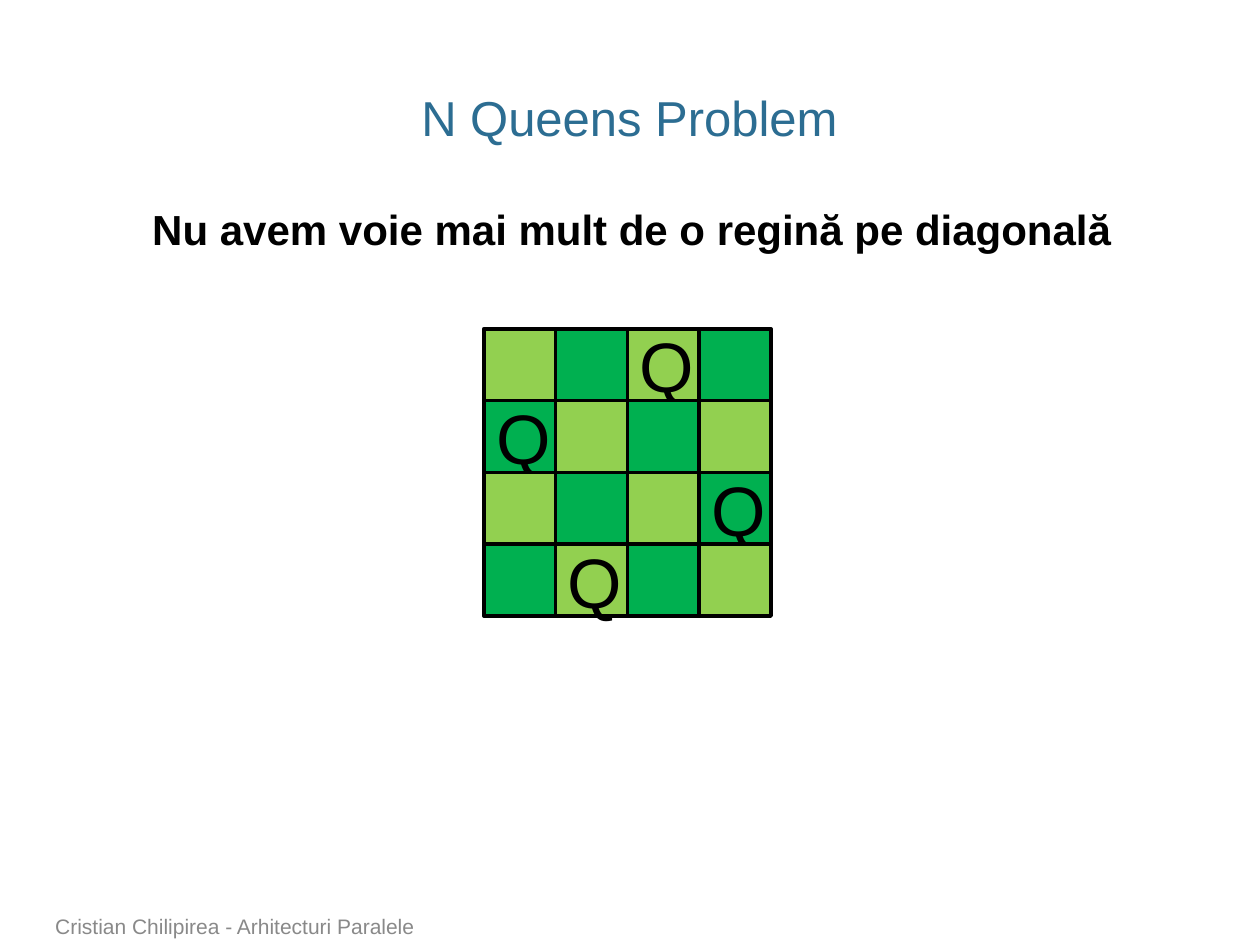
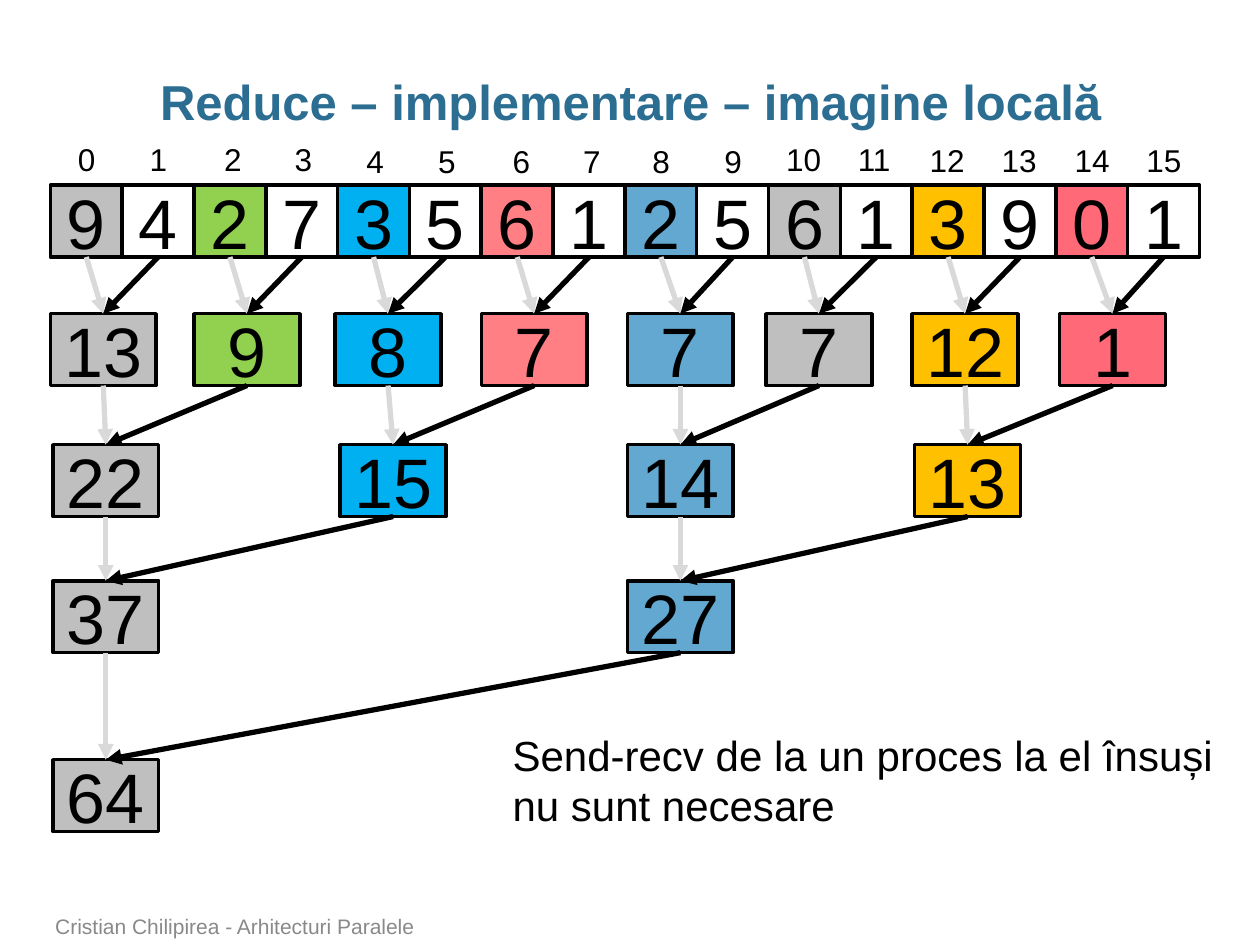
import pptx
import pptx.util
import pptx.dml.color
import pptx.enum.shapes
import pptx.enum.text
import pptx.oxml.ns
from dataclasses import dataclass
from lxml import etree
from pptx.util import Inches, Pt

ALIGN = pptx.enum.text.PP_ALIGN
ANCHOR = pptx.enum.text.MSO_ANCHOR
FIT = pptx.enum.text.MSO_AUTO_SIZE
RECT = pptx.enum.shapes.MSO_SHAPE.RECTANGLE
STRAIGHT = pptx.enum.shapes.MSO_CONNECTOR.STRAIGHT
BOTTOM, TOP = 2, 0


@dataclass(frozen=True)
class Theme:
    font: str = "Arial"
    ink: str = "000000"
    head: str = "2C6D92"
    note: str = "898989"
    pale: str = "D9D9D9"
    light: str = "92D050"
    dark: str = "00B050"
    hues: tuple = ("BFBFBF", "92D050", "00B0F0", "FF7F85",
                   "62A8D1", "BFBFBF", "FFC000", "FF6978")
    title: int = 28
    body: int = 24
    cell: int = 40
    label: int = 18
    foot: int = 12
    edge: int = 2
    arrow: int = 3


def color(code):
    return pptx.dml.color.RGBColor.from_string(code)


def add_xml(parent, tag, **attrs):
    etree.SubElement(parent, pptx.oxml.ns.qn(tag), **attrs)


class Deck:
    def __init__(self, theme):
        self.theme = theme
        self.file = pptx.Presentation()
        self.file.slide_width = Inches(10)
        self.file.slide_height = Inches(7.5)
        self.slide = None

    def run(self, para, text, size, code, bold=False):
        run = para.add_run()
        run.text = text
        font = run.font
        font.name = self.theme.font
        font.size = Pt(size)
        font.bold = bold
        font.color.rgb = color(code)

    def start(self, text, left, top, bold=False):
        self.slide = self.file.slides.add_slide(self.file.slide_layouts[5])
        title = self.slide.shapes.title
        title.left, title.top = Inches(left), Inches(top)
        title.width, title.height = Inches(9.31), Inches(0.5)
        frame = title.text_frame
        frame.auto_size = FIT.NONE
        frame.margin_left = frame.margin_right = 0
        frame.margin_top = frame.margin_bottom = Inches(0.05)
        frame.vertical_anchor = ANCHOR.TOP
        para = frame.paragraphs[0]
        para.alignment = ALIGN.CENTER
        para.line_spacing = 0.95
        self.run(para, text, self.theme.title, self.theme.head, bold)
        foot = self.text("Cristian Chilipirea - Arhitecturi Paralele",
                         0.34, 7.22, 7.37, 0.28, self.theme.foot,
                         code=self.theme.note, wrap=True, fit=FIT.NONE)
        foot.text_frame.vertical_anchor = ANCHOR.BOTTOM

    def text(self, text, left, top, width, height, size, code=None,
             bold=False, wrap=False, fit=FIT.SHAPE_TO_FIT_TEXT):
        box = self.slide.shapes.add_textbox(
            Inches(left), Inches(top), Inches(width), Inches(height))
        frame = box.text_frame
        frame.word_wrap = wrap
        frame.auto_size = fit
        self.run(frame.paragraphs[0], text, size, code or self.theme.ink, bold)
        return box

    def cell(self, text, left, top, width, fill=None):
        box = self.slide.shapes.add_shape(
            RECT, Inches(left), Inches(top), Inches(width), Inches(0.57))
        box.shadow.inherit = False
        if fill:
            box.fill.solid()
            box.fill.fore_color.rgb = color(fill)
        else:
            box.fill.background()
        box.line.color.rgb = color(self.theme.ink)
        box.line.width = Pt(self.theme.edge)
        if text:
            frame = box.text_frame
            frame.vertical_anchor = ANCHOR.MIDDLE
            para = frame.paragraphs[0]
            para.alignment = ALIGN.CENTER
            self.run(para, text, self.theme.cell, self.theme.ink)
        return box

    def arrow(self, source, target, code):
        line = self.slide.shapes.add_connector(STRAIGHT, 0, 0, 0, 0)
        line.begin_connect(source, BOTTOM)
        line.end_connect(target, TOP)
        line.line.color.rgb = color(code)
        line.line.width = Pt(self.theme.arrow)
        add_xml(line.line._get_or_add_ln(), "a:tailEnd", type="triangle")
        add_xml(line._element.spPr, "a:effectLst")


def draw_queens(deck):
    theme = deck.theme
    side = 0.57
    queens = (2, 0, 3, 1)
    deck.start("N Queens Problem", 0.34, 0.68)
    for row, queen in enumerate(queens):
        for col in range(len(queens)):
            fill = theme.dark if (row + col) % 2 else theme.light
            deck.cell("Q" if col == queen else "", 3.84 + col * side,
                      2.61 + row * side, side, fill)
    deck.text("Nu avem voie mai mult de o regină pe diagonală",
              1.11, 1.57, 7.88, 0.5, theme.body, bold=True)


def draw_reduce(deck):
    theme = deck.theme
    side = 0.57
    deck.start("Reduce – implementare – imagine locală", 0.35, 0.55, bold=True)

    values = [9, 4, 2, 7, 3, 5, 6, 1, 2, 5, 6, 1, 3, 9, 0, 1]
    boxes = []
    for i, value in enumerate(values):
        fill = None if i % 2 else theme.hues[i // 2]
        boxes.append(deck.cell(str(value), 0.4 + i * side, 1.47, side, fill))

    levels = [(2.49, [0.4, 1.54, 2.66, 3.82, 4.98, 6.08, 7.24, 8.41])]
    for top, count in ((3.53, 4), (4.61, 2), (6.03, 1)):
        step = 9.12 / count
        levels.append((top, [0.42 + i * step for i in range(count)]))

    for top, lefts in levels:
        values = [a + b for a, b in zip(values[::2], values[1::2])]
        hues = theme.hues[::len(theme.hues) // len(lefts)]
        sums = []
        for i, left in enumerate(lefts):
            box = deck.cell(str(values[i]), left, top, 0.84, hues[i])
            deck.arrow(boxes[2 * i], box, theme.pale)
            deck.arrow(boxes[2 * i + 1], box, theme.ink)
            sums.append(box)
        boxes = sums

    deck.text("Send-recv de la un proces la el însuși nu sunt necesare",
              3.97, 5.74, 5.9, 0.91, theme.body, wrap=True)

    lefts = [0.52, 1.09, 1.68, 2.24, 2.81, 3.38, 3.97, 4.53, 5.08, 5.65,
             6.14, 6.71, 7.28, 7.85, 8.43, 9]
    tops = [1.06] * 4 + [1.08] * 6 + [1.06] * 2 + [1.07] * 4
    for i, (left, top) in enumerate(zip(lefts, tops)):
        width = 0.34 if i < 10 else 0.48
        deck.text(str(i), left, top, width, 0.4, theme.label)


def main():
    deck = Deck(Theme())
    draw_queens(deck)
    draw_reduce(deck)
    deck.file.save("out.pptx")


if __name__ == "__main__":
    main()
